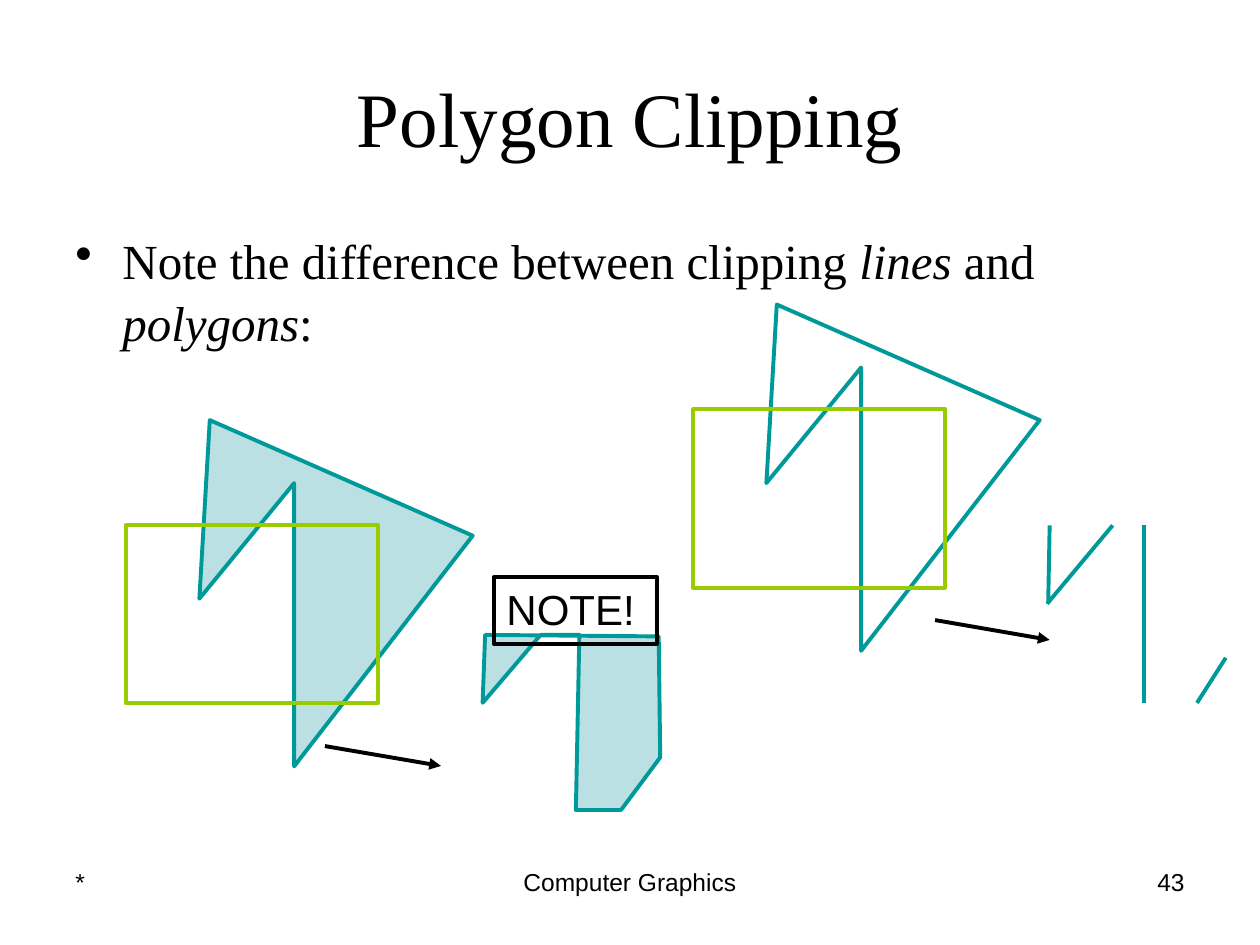
from dataclasses import dataclass

from lxml.etree import SubElement
from pptx import Presentation
from pptx.dml.color import RGBColor
from pptx.enum.shapes import MSO_CONNECTOR, MSO_SHAPE
from pptx.enum.text import MSO_ANCHOR, PP_ALIGN
from pptx.oxml.ns import qn
from pptx.util import Cm, Pt


@dataclass(frozen=True)
class Theme:
    ink: RGBColor = RGBColor(0x00, 0x00, 0x00)
    edge: RGBColor = RGBColor(0x00, 0x99, 0x99)
    area: RGBColor = RGBColor(0xBB, 0xE0, 0xE3)
    window: RGBColor = RGBColor(0x99, 0xCC, 0x00)
    serif: str = "Times New Roman"
    sans: str = "Arial"
    title: Pt = Pt(44)
    body: Pt = Pt(28)
    note: Pt = Pt(24)
    footer: Pt = Pt(14)
    stroke: Pt = Pt(2.25)


THEME = Theme()

# All coordinates are in centimetres
POLYGON = [(4.23, 8.47), (4.02, 12.07), (5.93, 9.74), (5.93, 15.45), (9.53, 10.8)]
WINDOW = (2.54, 10.58, 5.08, 3.6)
LINE_CASE_SHIFT = (11.43, -2.33)
CLIPPED_POLYGON = [(9.78, 12.8), (9.73, 14.17), (10.9, 12.8), (11.68, 12.8),
                   (11.61, 16.33), (12.52, 16.33), (13.31, 15.27), (13.28, 12.83)]
CLIPPED_LINES = [
    ((21.16, 10.59), (21.13, 12.17)),
    ((22.43, 10.59), (21.11, 12.17)),
    ((23.06, 10.59), (23.06, 14.17)),
    ((24.71, 13.26), (24.13, 14.17)),
]
ARROWS = [((18.85, 12.5), (21.16, 12.9)), ((6.55, 15.04), (8.89, 15.44))]


def style_text(paragraph, size, face, align=PP_ALIGN.LEFT):
    paragraph.alignment = align
    paragraph.font.size = size
    paragraph.font.name = face
    paragraph.font.color.rgb = THEME.ink


def add_text(slide, box, text, size, face, align=PP_ALIGN.LEFT, anchor=MSO_ANCHOR.TOP):
    frame = slide.shapes.add_textbox(*map(Cm, box)).text_frame
    frame.word_wrap = True
    frame.vertical_anchor = anchor
    paragraph = frame.paragraphs[0]
    paragraph.text = text
    style_text(paragraph, size, face, align)


def add_bullet(slide, box, pieces):
    frame = slide.shapes.add_textbox(*map(Cm, box)).text_frame
    frame.word_wrap = True
    paragraph = frame.paragraphs[0]
    paragraph.line_spacing = 1.06
    properties = paragraph._p.get_or_add_pPr()
    properties.set("marL", str(Cm(0.95)))
    properties.set("indent", str(-Cm(0.95)))
    SubElement(properties, qn("a:buChar")).set("char", "•")
    style_text(paragraph, THEME.body, THEME.serif)
    for text, italic in pieces:
        run = paragraph.add_run()
        run.text = text
        run.font.italic = italic


def outline(shape, color, fill=None):
    shape.shadow.inherit = False
    shape.line.color.rgb = color
    shape.line.width = THEME.stroke
    if fill is None:
        shape.fill.background()
    else:
        shape.fill.solid()
        shape.fill.fore_color.rgb = fill


def add_polygon(slide, points, fill=None):
    start, *others = [(Cm(x), Cm(y)) for x, y in points]
    builder = slide.shapes.build_freeform(*start)
    builder.add_line_segments(others, close=True)
    outline(builder.convert_to_shape(), THEME.edge, fill)


def add_frame(slide, box, color):
    frame = slide.shapes.add_shape(MSO_SHAPE.RECTANGLE, *map(Cm, box))
    outline(frame, color)
    return frame


def add_line(slide, start, end, color, arrow=False):
    line = slide.shapes.add_connector(MSO_CONNECTOR.STRAIGHT, *map(Cm, start + end))
    line.line.color.rgb = color
    line.line.width = THEME.stroke
    if arrow:
        SubElement(line.line._get_or_add_ln(), qn("a:tailEnd")).set("type", "triangle")
    SubElement(line._element.spPr, qn("a:effectLst"))


def add_case(slide, shift, fill=None):
    """A polygon with its clipping window, moved by shift."""
    dx, dy = shift
    add_polygon(slide, [(x + dx, y + dy) for x, y in POLYGON], fill)
    left, top, width, height = WINDOW
    add_frame(slide, (left + dx, top + dy, width, height), THEME.window)


def add_note(slide, box, text):
    frame = add_frame(slide, box, THEME.ink).text_frame
    frame.word_wrap = True
    frame.vertical_anchor = MSO_ANCHOR.TOP
    frame.paragraphs[0].text = text
    style_text(frame.paragraphs[0], THEME.note, THEME.sans)


def main():
    deck = Presentation()
    deck.slide_width, deck.slide_height = Cm(25.4), Cm(19.05)
    slide = deck.slides.add_slide(deck.slide_layouts[6])

    # Footer
    for left, width, text, align in [
        (1.27, 5.93, "*", PP_ALIGN.LEFT),
        (8.68, 8.04, "Computer Graphics", PP_ALIGN.CENTER),
        (18.2, 5.93, "43", PP_ALIGN.RIGHT),
    ]:
        add_text(slide, (left, 17.36, width, 1.32), text, THEME.footer, THEME.sans, align)

    # Title and statement
    add_text(slide, (1.27, 0.76, 22.86, 3.18), "Polygon Clipping",
             THEME.title, THEME.serif, PP_ALIGN.CENTER, MSO_ANCHOR.MIDDLE)
    add_bullet(slide, (1.27, 4.45, 22.86, 12.57), [
        ("Note the difference between clipping ", False),
        ("lines", True),
        (" and ", False),
        ("polygons", True),
        (":", False),
    ])

    # Polygon and line cases before clipping
    add_case(slide, (0, 0), THEME.area)
    add_case(slide, LINE_CASE_SHIFT)

    # Results after clipping
    add_polygon(slide, CLIPPED_POLYGON, THEME.area)
    for start, end in CLIPPED_LINES:
        add_line(slide, start, end, THEME.edge)
    for start, end in ARROWS:
        add_line(slide, start, end, THEME.ink, arrow=True)
    add_note(slide, (9.96, 11.63, 3.28, 1.35), "NOTE!")

    deck.save("out.pptx")


if __name__ == "__main__":
    main()
